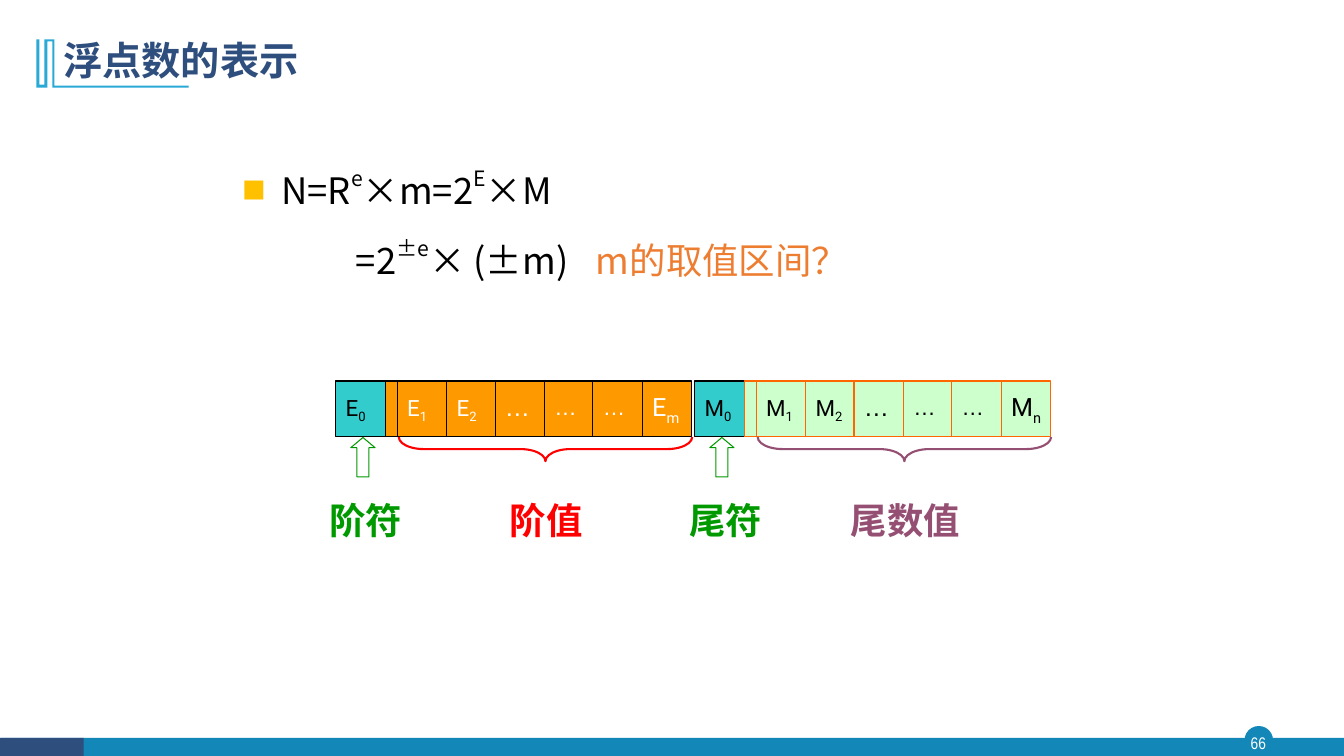
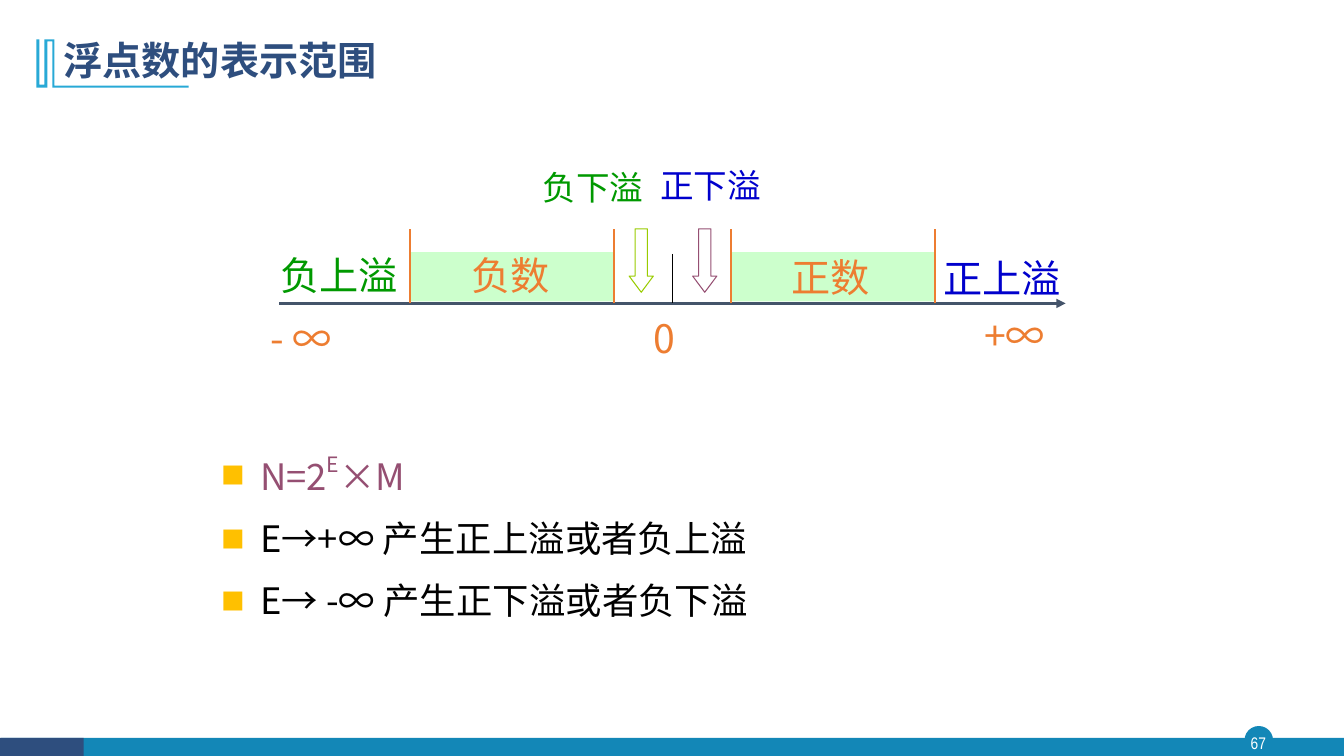
from dataclasses import dataclass
from typing import NamedTuple, Optional

from lxml.etree import SubElement
from pptx import Presentation
from pptx.dml.color import RGBColor
from pptx.enum.shapes import MSO_CONNECTOR, MSO_SHAPE
from pptx.enum.text import MSO_ANCHOR, MSO_AUTO_SIZE, PP_ALIGN
from pptx.oxml.ns import qn
from pptx.util import Pt

# Scale: 100 px to the inch
PX = 9144

# Colours and fonts
WHITE = RGBColor(0xFF, 0xFF, 0xFF)
BLACK = RGBColor(0x00, 0x00, 0x00)
NAVY = RGBColor(0x2E, 0x4E, 0x7E)
BLUE = RGBColor(0x13, 0x87, 0xB7)
SKY = RGBColor(0x28, 0xA9, 0xD6)
SLATE = RGBColor(0x44, 0x54, 0x6A)
GOLD = RGBColor(0xFF, 0xC0, 0x00)
ORANGE = RGBColor(0xED, 0x7D, 0x31)
TEAL = RGBColor(0x33, 0xCC, 0xCC)
AMBER = RGBColor(0xFF, 0x99, 0x00)
MINT = RGBColor(0xCC, 0xFF, 0xCC)
RUST = RGBColor(0xFF, 0x66, 0x00)
RED = RGBColor(0xFF, 0x00, 0x00)
GREEN = RGBColor(0x00, 0x99, 0x00)
LIME = RGBColor(0x99, 0xCC, 0x00)
INDIGO = RGBColor(0x00, 0x00, 0xCC)
PLUM = RGBColor(0x95, 0x4F, 0x72)
SANS = "Noto Sans CJK SC"
SANS_JP = "Noto Sans CJK JP"

BOX_FORMAT = {"word_wrap": True, "auto_size": MSO_AUTO_SIZE.NONE}
TIGHT = {f"margin_{side}": PX for side in ("left", "top", "right", "bottom")}
FLUSH = dict.fromkeys(TIGHT, 0)


class Box(NamedTuple):
    x: int
    y: int
    w: int
    h: int


class Run(NamedTuple):
    text: str
    base: int = 0
    color: RGBColor = BLACK
    size: int = 26
    font: str = SANS
    bold: bool = False


@dataclass
class Line:
    runs: list[Run]
    bullet: bool = True
    tab: int = 0


@dataclass
class Register:
    x: int
    letter: str
    last: str
    fill: RGBColor
    line: RGBColor
    ink: RGBColor
    sign: str
    sign_x: int
    value: str
    value_x: int
    value_color: RGBColor


@dataclass
class Label:
    text: str
    box: Box
    color: RGBColor
    size: int = 28


# Helpers
def apply(obj, fmt: dict) -> None:
    for name, value in fmt.items():
        setattr(obj, name, value)


def place(sp, box: Box) -> None:
    apply(sp, dict(zip(("left", "top", "width", "height"), (v * PX for v in box))))


def add_runs(p, runs: list[Run]) -> None:
    for run in runs:
        r = p.add_run()
        r.text = run.text
        r.font.color.rgb = run.color
        apply(r.font, {"size": Pt(run.size), "bold": run.bold, "name": run.font})
        rPr = r._r.get_or_add_rPr()
        SubElement(rPr, qn("a:ea")).set("typeface", run.font)
        if run.base:
            rPr.set("baseline", str(run.base * 1000))


def set_text(sp, runs: list[Run], spacing: float, frame: dict,
             align: PP_ALIGN = PP_ALIGN.LEFT) -> None:
    tf = sp.text_frame
    apply(tf, BOX_FORMAT | frame)
    p = tf.paragraphs[0]
    apply(p, {"line_spacing": spacing, "alignment": align})
    add_runs(p, runs)


def add_text(slide, box: Box, run: Run, spacing: float, frame: dict,
             align: PP_ALIGN = PP_ALIGN.LEFT) -> None:
    sp = slide.shapes.add_textbox(*(v * PX for v in box))
    set_text(sp, [run], spacing, frame, align)


def paint(sp, fill: Optional[RGBColor], line: Optional[RGBColor], width: float) -> None:
    sp.shadow.inherit = False
    if fill is None:
        sp.fill.background()
    else:
        sp.fill.solid()
        sp.fill.fore_color.rgb = fill
    if line is None:
        sp.line.fill.background()
    else:
        sp.line.color.rgb = line
        sp.line.width = Pt(width)


def add_shape(slide, kind: MSO_SHAPE, box: Box, fill: Optional[RGBColor] = None,
              line: Optional[RGBColor] = None, width: float = 0.75,
              adj: tuple[float, ...] = ()):
    sp = slide.shapes.add_shape(kind, *(v * PX for v in box))
    paint(sp, fill, line, width)
    for i, value in enumerate(adj):
        sp.adjustments[i] = value
    return sp


def add_line(slide, x1: int, y1: int, x2: int, y2: int, color: RGBColor,
             width: float, arrow: bool = False) -> None:
    c = slide.shapes.add_connector(MSO_CONNECTOR.STRAIGHT,
                                   *(v * PX for v in (x1, y1, x2, y2)))
    c.line.color.rgb = color
    c.line.width = Pt(width)
    if arrow:
        SubElement(c.line._get_or_add_ln(), qn("a:tailEnd")).set("type", "triangle")
    SubElement(c._element.spPr, qn("a:effectLst"))


def add_cell(slide, box: Box, fill: RGBColor, line: RGBColor, runs: list[Run]) -> None:
    sp = add_shape(slide, MSO_SHAPE.RECTANGLE, box, fill, line)
    set_text(sp, runs, 0.8, {"vertical_anchor": MSO_ANCHOR.MIDDLE, "margin_right": 0})


# Shared frame: footer band, page number, title mark and title
TITLE_MARK = [(54, 39), (54, 85), (187, 85), (187, 87), (52, 87), (52, 41), (47, 41),
              (47, 87), (36, 87), (36, 39), (39, 39), (39, 84), (44, 84), (44, 39)]


def new_slide(prs, number: int, title: str):
    slide = prs.slides.add_slide(prs.slide_layouts[1])
    add_shape(slide, MSO_SHAPE.OVAL, Box(1235, 721, 27, 27), BLUE, BLUE, 1)
    add_shape(slide, MSO_SHAPE.RECTANGLE, Box(1, 732, 1332, 18), BLUE)
    add_shape(slide, MSO_SHAPE.RECTANGLE, Box(0, 732, 83, 18), NAVY)
    middle = {"vertical_anchor": MSO_ANCHOR.MIDDLE}
    add_text(slide, Box(1232, 721, 32, 31),
             Run(str(number), color=WHITE, size=12, font="Arial Narrow"),
             1.0, FLUSH | middle, PP_ALIGN.CENTER)
    mark = slide.shapes.build_freeform(*TITLE_MARK[0], scale=PX)
    mark.add_line_segments(TITLE_MARK[1:], close=True)
    paint(mark.convert_to_shape(), SKY, None, 0)
    place(slide.shapes.title, Box(53, 28, 1150, 68))
    set_text(slide.shapes.title, [Run(title, color=NAVY, size=28, bold=True)], 0.9, middle)
    return slide


def fill_body(slide, box: Box, lines: list[Line], spacing: float) -> None:
    sp = slide.placeholders[1]
    place(sp, box)
    tf = sp.text_frame
    apply(tf, BOX_FORMAT)
    for i, line in enumerate(lines):
        p = tf.add_paragraph() if i else tf.paragraphs[0]
        apply(p, {"alignment": PP_ALIGN.JUSTIFY, "line_spacing": spacing,
                  "space_before": Pt(10 if i else 0)})
        pPr = p._p.get_or_add_pPr()
        if line.bullet:
            margin, indent = 38, -38
            SubElement(SubElement(pPr, qn("a:buClr")), qn("a:srgbClr")).set("val", str(GOLD))
            SubElement(pPr, qn("a:buSzPct")).set("val", "65000")
            SubElement(pPr, qn("a:buFont")).set("typeface", SANS)
            SubElement(pPr, qn("a:buChar")).set("char", "■")
        else:
            margin, indent = 0, 112
            SubElement(pPr, qn("a:buNone"))
        pPr.set("marL", str(margin * PX))
        pPr.set("indent", str(indent * PX))
        if line.tab:
            tab = SubElement(SubElement(pPr, qn("a:tabLst")), qn("a:tab"))
            tab.set("pos", str(line.tab * PX))
            tab.set("algn", "l")
        add_runs(p, line.runs)


# Slide 66: floating-point format
ROW_Y, ROW_H = 378, 55
CELL_W, PITCH = 49, 48.6
REGISTERS = [
    Register(333, "E", "m", AMBER, BLACK, WHITE, "阶符", 317, "阶值", 496, RED),
    Register(689, "M", "n", MINT, RUST, BLACK, "尾符", 674, "尾数值", 834, PLUM),
]


def draw_register(slide, reg: Register) -> None:
    def indexed(index: str, size: int, ink: RGBColor) -> list[Run]:
        return [Run(reg.letter, 0, ink, size, "Roboto"),
                Run(index, -25, ink, size, "Roboto")]

    def dots(size: int) -> list[Run]:
        return [Run("…", 0, reg.ink, size, "Arial")]

    add_cell(slide, Box(reg.x, ROW_Y, CELL_W, ROW_H), TEAL, BLACK, indexed("0", 16, BLACK))
    cells = [indexed("1", 16, reg.ink), indexed("2", 16, reg.ink),
             dots(18), dots(16), dots(16), indexed(reg.last, 18, reg.ink)]
    for i, runs in enumerate(cells):
        x = reg.x + 61 + round(i * PITCH)
        add_cell(slide, Box(x, ROW_Y, CELL_W, ROW_H), reg.fill, reg.line, runs)
    add_shape(slide, MSO_SHAPE.RECTANGLE, Box(reg.x + CELL_W, ROW_Y, 12, ROW_H),
              reg.fill, reg.line)

    brace = add_shape(slide, MSO_SHAPE.LEFT_BRACE, Box(reg.x + 196, 300, 24, 291),
                      line=reg.value_color, width=1.5, adj=(1.03, 0.5))
    brace.rotation = 270
    add_shape(slide, MSO_SHAPE.UP_ARROW, Box(reg.x + 15, 434, 24, 39),
              line=GREEN, adj=(0.5, 0.42))
    for text, x, color in ((reg.sign, reg.sign_x, GREEN),
                           (reg.value, reg.value_x, reg.value_color)):
        add_text(slide, Box(x, 481, 150, 55), Run(text, color=color, bold=True), 1.2, {})


def build_format(prs) -> None:
    slide = new_slide(prs, 66, "浮点数的表示")
    fill_body(slide, Box(231, 150, 899, 134), [
        Line([Run("N=R"), Run("e", 50), Run("×m=2"), Run("E", 50), Run("×M")]),
        Line([Run("=2"), Run("±e", 50), Run("× (±m)\t"),
              Run("m的取值区间？", color=ORANGE)], bullet=False, tab=357),
    ], 1.2)
    for reg in REGISTERS:
        draw_register(slide, reg)


# Slide 67: range on the number axis
AXIS_Y = 301
RANGE_W = 202
RANGES = (407, 725)
LABELS = [
    Label("- ∞", Box(267, 320, 68, 49), ORANGE),
    Label("+∞", Box(975, 317, 82, 49), ORANGE),
    Label("0", Box(647, 320, 41, 37), ORANGE),
    Label("负上溢", Box(277, 257, 126, 49), GREEN),
    Label("正上溢", Box(935, 260, 142, 49), INDIGO),
    Label("负下溢", Box(537, 172, 135, 49), GREEN, 24),
    Label("正下溢", Box(654, 170, 135, 49), INDIGO, 24),
    Label("负数", Box(467, 257, 95, 49), ORANGE),
    Label("正数", Box(784, 259, 95, 49), ORANGE),
]


def build_range(prs) -> None:
    slide = new_slide(prs, 67, "浮点数的表示范围")
    fill_body(slide, Box(210, 438, 899, 220), [
        Line([Run("N=2", color=PLUM), Run("E", 50, PLUM), Run("×M", color=PLUM)]),
        Line([Run("E→+∞ 产生正上溢或者负上溢", font=SANS_JP)]),
        Line([Run("E→ -∞ 产生正下溢或者负下溢", font=SANS_JP)]),
    ], 1.1)
    add_line(slide, 277, AXIS_Y, 1057, AXIS_Y, SLATE, 2.25, arrow=True)
    add_line(slide, 667, 252, 667, AXIS_Y, BLACK, 0.25)
    for x in RANGES:
        add_shape(slide, MSO_SHAPE.RECTANGLE, Box(x, 250, RANGE_W, 49), MINT)
        for edge in (x, x + RANGE_W):
            add_line(slide, edge, AXIS_Y, edge, 227, ORANGE, 1.5)
    for x, color in ((624, LIME), (687, PLUM)):
        add_shape(slide, MSO_SHAPE.DOWN_ARROW, Box(x, 227, 24, 63),
                  line=color, adj=(0.5, 0.67))
    for label in LABELS:
        add_text(slide, label.box, Run(label.text, color=label.color, size=label.size),
                 0.8, TIGHT)


def main() -> None:
    prs = Presentation()
    apply(prs, {"slide_width": 1333 * PX, "slide_height": 750 * PX})
    build_format(prs)
    build_range(prs)
    prs.save("out.pptx")


if __name__ == "__main__":
    main()
